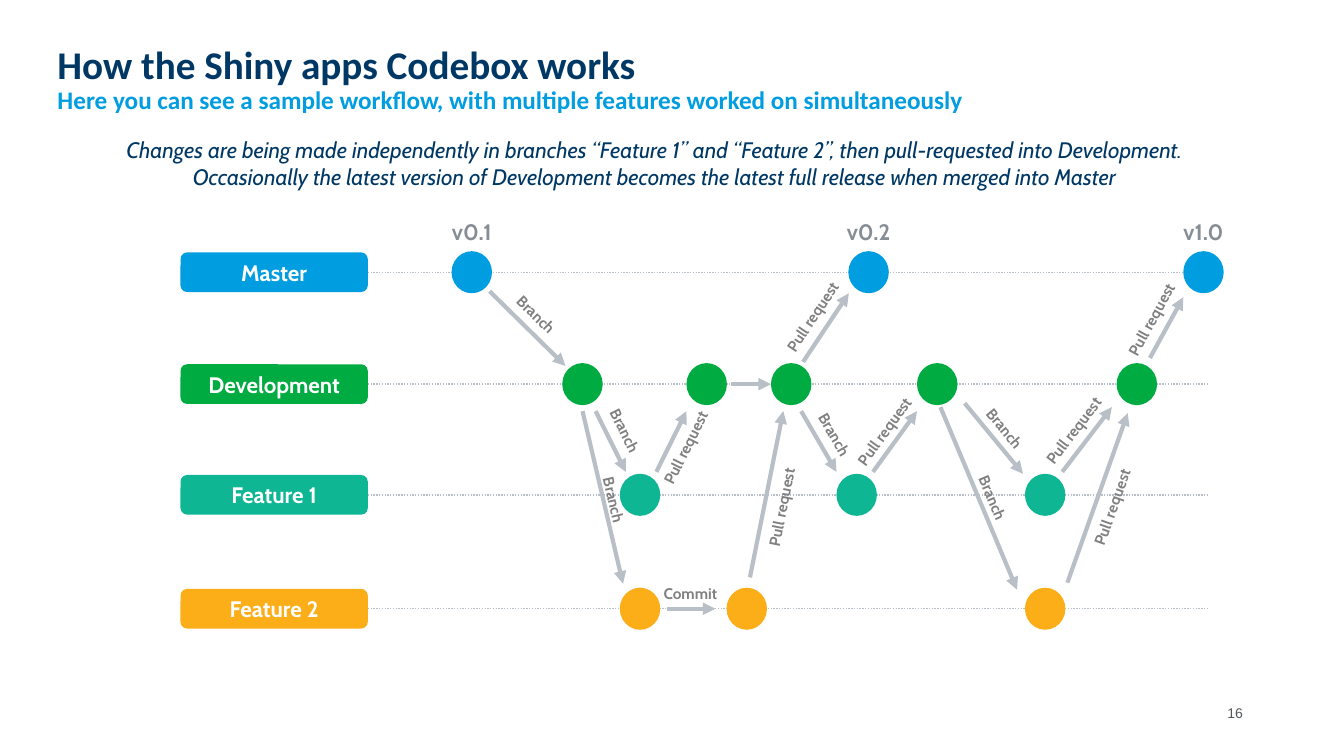
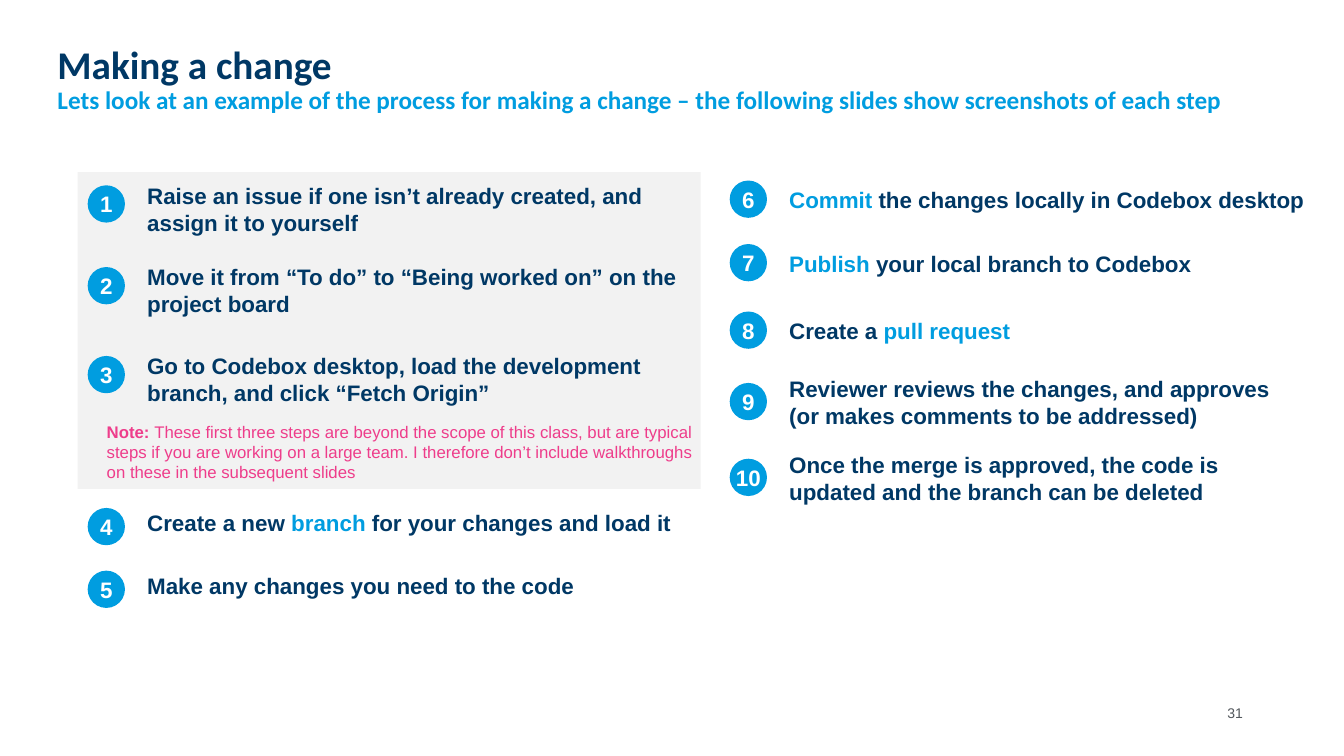
"""Build two slides: a branching workflow diagram and a numbered change process."""
from math import atan2, degrees

from lxml.etree import SubElement
from pptx import Presentation
from pptx.dml.color import RGBColor
from pptx.enum.dml import MSO_LINE
from pptx.enum.shapes import MSO_CONNECTOR, MSO_SHAPE
from pptx.enum.text import MSO_ANCHOR, PP_ALIGN
from pptx.oxml.ns import qn
from pptx.util import Cm, Pt

NAVY = RGBColor(0x00, 0x38, 0x65)
BLUE = RGBColor(0x00, 0x9D, 0xE0)
GREEN = RGBColor(0x00, 0xAC, 0x41)
TEAL = RGBColor(0x0F, 0xB6, 0x94)
AMBER = RGBColor(0xFB, 0xAE, 0x17)
PINK = RGBColor(0xEE, 0x3D, 0x8B)
WHITE = RGBColor(0xFF, 0xFF, 0xFF)
PALE = RGBColor(0xF2, 0xF2, 0xF2)
LINE = RGBColor(0xB9, 0xBF, 0xC7)
GREY = RGBColor(0x80, 0x80, 0x80)
SLATE = RGBColor(0x86, 0x8D, 0x95)
FOOT = RGBColor(0x52, 0x57, 0x5C)

TITLE = dict(name="Calibri", size=Pt(28), bold=True, color=NAVY)
SUBTITLE = dict(TITLE, size=Pt(18), color=BLUE)
FOOTER = dict(name="Arial", size=Pt(10), color=FOOT)
INTRO = dict(name="Cabin", size=Pt(16), italic=True, color=NAVY)
LANE = dict(name="Cabin", size=Pt(16), bold=True, color=WHITE)
VERSION = dict(LANE, color=SLATE)
ACTION = dict(LANE, size=Pt(11), color=GREY)
STEP = dict(name="Arial", size=Pt(16), bold=True, color=NAVY)
KEYWORD = dict(STEP, color=BLUE)
BADGE = dict(STEP, color=WHITE)
NOTE = dict(name="Arial", size=Pt(12), color=PINK)

WORKFLOW = ("How the Shiny apps Codebox works",
            "Here you can see a sample workflow, with multiple features worked on simultaneously", 16)
CHANGE = ("Making a change",
          "Lets look at an example of the process for making a change – "
          "the following slides show screenshots of each step", 31)

INTRO_LINES = [
    "Changes are being made independently in branches “Feature 1” and “Feature 2”, "
    "then pull-requested into Development.",
    "Occasionally the latest version of Development becomes the latest full release "
    "when merged into Master",
]

LANES = [
    ("Master", BLUE, 6.86, [11.89, 21.89, 30.33]),
    ("Development", GREEN, 9.68, [14.68, 17.81, 19.94, 23.62, 28.65]),
    ("Feature 1", TEAL, 12.47, [16.13, 21.59, 26.34]),
    ("Feature 2", AMBER, 15.34, [16.13, 18.82, 26.34]),
]
VERSIONS = ["v0.1", "v0.2", "v1.0"]

ARROWS = [
    ("Branch", (12.34, 7.34), (14.25, 9.22), (13.51, 7.92)),
    ("Branch", (15.01, 10.36), (15.77, 11.89), (15.75, 10.85)),
    ("Branch", (14.68, 10.36), (15.7, 14.71), (15.47, 12.6)),
    ("", (18.42, 9.68), (19.43, 9.68), None),
    ("Pull request", (16.54, 11.89), (17.3, 10.36), (17.27, 11.28)),
    ("Commit", (16.81, 15.34), (18.03, 15.34), (17.4, 14.94)),
    ("Pull request", (18.9, 14.55), (19.74, 10.36), (19.69, 12.78)),
    ("Branch", (20.19, 10.36), (21.08, 11.89), (21.03, 10.95)),
    ("Pull request", (22, 11.89), (23.11, 10.36), (22.28, 10.87)),
    ("Pull request", (20.24, 9.12), (21.39, 7.39), (20.47, 7.98)),
    ("Branch", (24.31, 10.16), (25.78, 11.94), (25.32, 10.8)),
    ("Branch", (23.7, 10.26), (25.63, 14.86), (25.02, 12.55)),
    ("Pull request", (26.77, 11.89), (28.02, 10.26), (27.05, 10.85)),
    ("Pull request", (26.9, 14.68), (28.42, 10.41), (28.02, 12.78)),
    ("Pull request", (28.98, 9.02), (29.82, 7.49), (29.01, 8.05)),
]

LEFT, RIGHT = 2.21, 18.39
STEP_GROUPS = [
    (LEFT, 14.76, 0.12, [
        (5.14, "Raise an issue if one isn’t already created, and assign it to yourself"),
        (7.2, "Move it from “To do” to “Being worked on” on the project board"),
        (9.44, "Go to Codebox desktop, load the development branch, and click “Fetch Origin”"),
    ]),
    (LEFT, 14.76, -0.09, [
        (13.27, "Create a new *branch* for your changes and load it"),
        (14.85, "Make any changes you need to the code"),
    ]),
    (RIGHT, 14.76, 0.01, [
        (5.02, "*Commit* the changes locally in Codebox desktop"),
    ]),
    (RIGHT, 13.44, 0.01, [
        (6.62, "*Publish* your local branch to Codebox"),
        (8.32, "Create a *pull request*"),
        (10.12, "Reviewer reviews the changes, and approves (or makes comments to be addressed)"),
        (12.03, "Once the merge is approved, the code is updated and the branch can be deleted"),
    ]),
]
NOTE_TEXT = ("These first three steps are beyond the scope of this class, but are typical steps "
             "if you are working on a large team. I therefore don’t include walkthroughs on these "
             "in the subsequent slides")


def write(sp, paragraphs, align=PP_ALIGN.LEFT, anchor=MSO_ANCHOR.TOP, inset=0, spacing=None):
    tf = sp.text_frame
    tf.word_wrap = True
    tf.vertical_anchor = anchor
    tf.margin_left, tf.margin_right = Cm(inset), 0
    tf.margin_top = tf.margin_bottom = 0
    for i, runs in enumerate(paragraphs):
        p = tf.add_paragraph() if i else tf.paragraphs[0]
        p.alignment = align
        if spacing:
            p.line_spacing = spacing
        for text, fmt in runs:
            r = p.add_run()
            r.text = text
            for key, value in fmt.items():
                if key == "color":
                    r.font.color.rgb = value
                else:
                    setattr(r.font, key, value)


def add_text(s, x, y, w, h, paragraphs, **layout):
    sp = s.shapes.add_textbox(Cm(x), Cm(y), Cm(w), Cm(h))
    write(sp, paragraphs, **layout)
    return sp


def add_centred(s, cx, cy, w, h, text, fmt):
    return add_text(s, cx - w / 2, cy - h / 2, w, h, [[(text, fmt)]],
                    align=PP_ALIGN.CENTER, anchor=MSO_ANCHOR.MIDDLE)


def add_shape(s, kind, x, y, w, h, fill, text="", fmt=None):
    sp = s.shapes.add_shape(kind, Cm(x), Cm(y), Cm(w), Cm(h))
    sp.shadow.inherit = False
    sp.fill.solid()
    sp.fill.fore_color.rgb = fill
    sp.line.fill.background()
    if text:
        write(sp, [[(text, fmt)]], align=PP_ALIGN.CENTER, anchor=MSO_ANCHOR.MIDDLE)
    return sp


def add_line(s, start, end, width, arrow=False):
    c = s.shapes.add_connector(MSO_CONNECTOR.STRAIGHT, *(Cm(v) for v in (*start, *end)))
    c.line.color.rgb = LINE
    c.line.width = Pt(width)
    if arrow:
        SubElement(c.line._get_or_add_ln(), qn("a:tailEnd"), type="triangle")
    else:
        c.line.dash_style = MSO_LINE.ROUND_DOT
    SubElement(c._element.spPr, qn("a:effectLst"))
    return c


def add_slide(prs, title, subtitle, number):
    s = prs.slides.add_slide(prs.slide_layouts[6])
    add_text(s, 1.45, 1.14, 30.99, 1.93, [[(title, TITLE)], [(subtitle, SUBTITLE)]], spacing=0.9)
    add_text(s, 29.41, 17.58, 1.91, 0.76, [[(str(number), FOOTER)]],
             align=PP_ALIGN.RIGHT, anchor=MSO_ANCHOR.MIDDLE)
    return s


def build_workflow(prs):
    s = add_slide(prs, *WORKFLOW)
    add_text(s, 1.68, 3.3, 29.64, 1.63, [[(line, INTRO)] for line in INTRO_LINES],
             align=PP_ALIGN.CENTER, anchor=MSO_ANCHOR.MIDDLE)
    for name, color, y, nodes in LANES:
        label = add_shape(s, MSO_SHAPE.ROUNDED_RECTANGLE, 4.55, y - 0.5, 4.72, 1, color, name, LANE)
        add_line(s, (9.27, y), (30.45, y), 1).begin_connect(label, 3)
        for x in nodes:
            add_shape(s, MSO_SHAPE.OVAL, x - 0.51, y - 0.53, 1.02, 1.06, color)
    for version, x in zip(VERSIONS, LANES[0][3]):
        add_centred(s, x, 5.83, 1.93, 1.09, version, VERSION)
    for action, start, end, centre in ARROWS:
        add_line(s, start, end, 3, arrow=True)
        if action:
            label = add_centred(s, *centre, 3.05, 0.86, action, ACTION)
            label.rotation = degrees(atan2(end[1] - start[1], end[0] - start[0])) % 360


def build_change(prs):
    s = add_slide(prs, *CHANGE)
    add_shape(s, MSO_SHAPE.RECTANGLE, 1.96, 4.34, 15.7, 7.98, PALE)
    number = 0
    for x, width, shift, steps in STEP_GROUPS:
        for y, text in steps:
            number += 1
            runs = [(part, KEYWORD if i % 2 else STEP)
                    for i, part in enumerate(text.split("*")) if part]
            add_text(s, x + 0.48, y + shift - 0.8, width - 0.2, 1.6, [runs],
                     anchor=MSO_ANCHOR.MIDDLE, inset=1.02)
            add_shape(s, MSO_SHAPE.OVAL, x, y - 0.47, 0.94, 0.94, BLUE, str(number), BADGE)
    add_text(s, 2.69, 10.62, 15, 1.6, [[("Note: ", dict(NOTE, bold=True)), (NOTE_TEXT, NOTE)]])


def main():
    prs = Presentation()
    prs.slide_width, prs.slide_height = Cm(33.87), Cm(19.05)
    build_workflow(prs)
    build_change(prs)
    prs.save("out.pptx")


if __name__ == "__main__":
    main()
